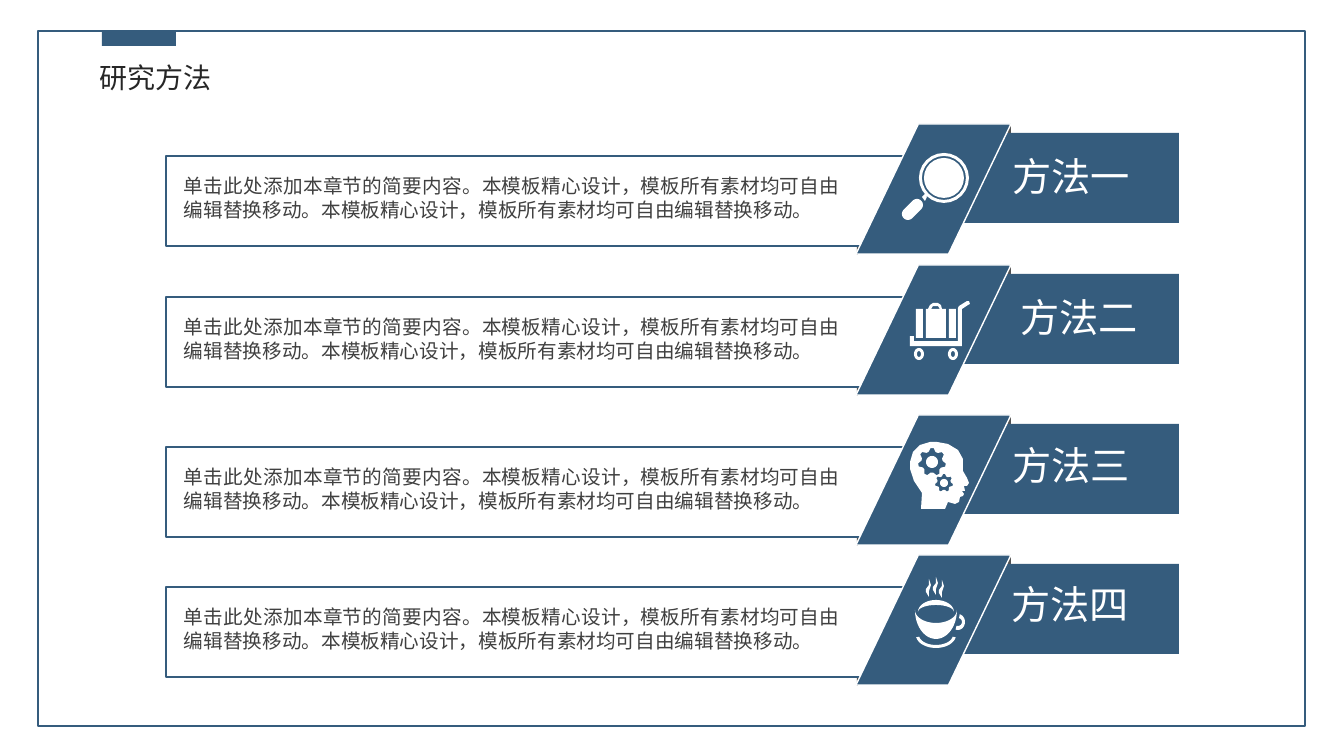
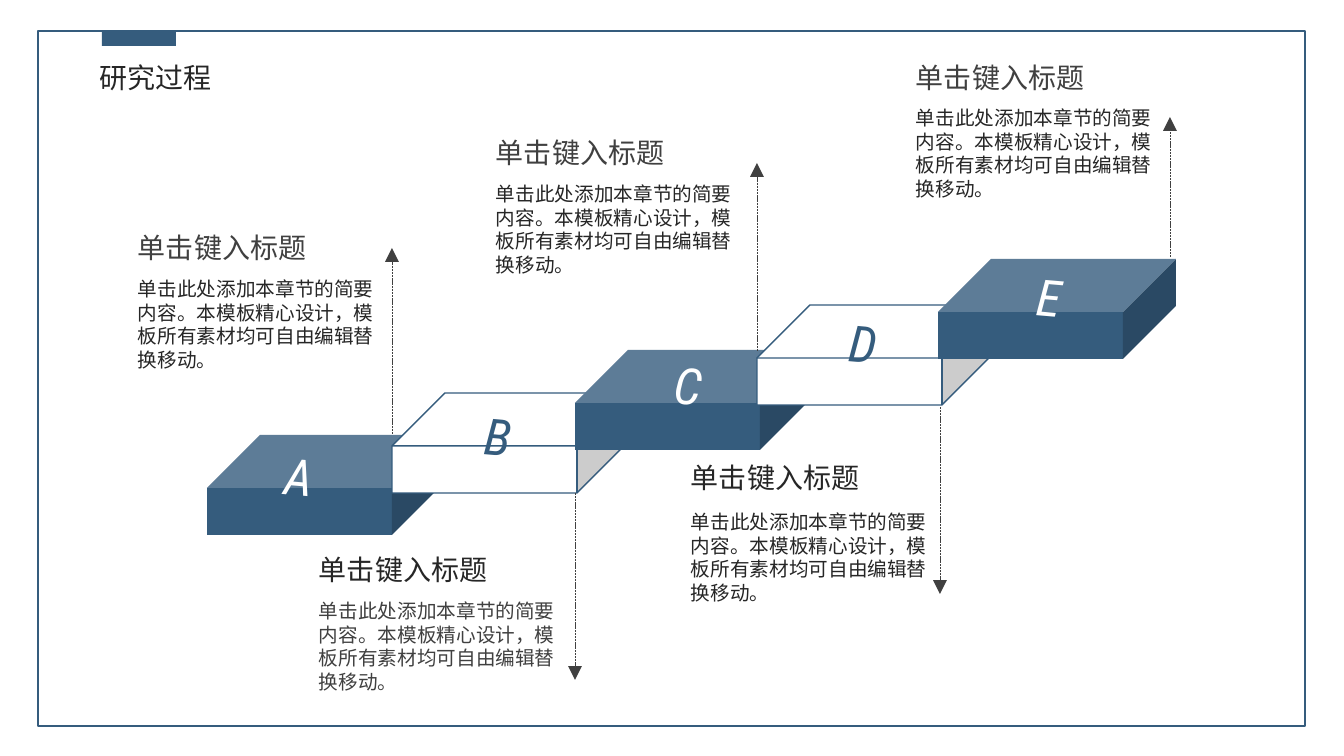
"""Build the research methods and research process slides."""
from math import cos, radians, sin

from lxml.etree import SubElement
from pptx import Presentation
from pptx.dml.color import RGBColor
from pptx.enum.dml import MSO_LINE
from pptx.enum.shapes import MSO_CONNECTOR, MSO_SHAPE
from pptx.enum.text import MSO_ANCHOR, PP_ALIGN
from pptx.oxml.ns import qn
from pptx.util import Pt

PX = 914400 / 100.8
BLUE, WHITE, SHADE = "355C7D", "FFFFFF", "525252"
DARK, GREY = "262626", "404040"
CJK_FONT, LATIN_FONT = "Noto Sans CJK SC", "Roboto Condensed"

METHOD_TEXT = "单击此处添加本章节的简要内容。本模板精心设计，模板所有素材均可自由编辑替换移动。本模板精心设计，模板所有素材均可自由编辑替换移动。"
STEP_TITLE = "单击键入标题"
STEP_TEXT = "单击此处添加本章节的简要内容。本模板精心设计，模板所有素材均可自由编辑替换移动。"


def arc(center_x, center_y, radius_x, radius_y, start=0, stop=360, count=24):
    angles = [radians(start + (stop - start) * index / count) for index in range(count + 1)]
    return [(center_x + radius_x * cos(a), center_y + radius_y * sin(a)) for a in angles]


def circle(center_x, center_y, radius):
    return arc(center_x, center_y, radius, radius)


def box(left, top, right, bottom):
    return [(left, top), (right, top), (right, bottom), (left, bottom)]


def gear(center_x, center_y, radius, teeth=7):
    points = []
    for index in range(teeth * 4):
        reach = radius if index % 4 < 2 else radius * 0.76
        angle = radians(360 * index / (teeth * 4) - 96)
        points.append((center_x + reach * cos(angle), center_y + reach * sin(angle)))
    return points


def wisp(left, top):
    curve = [(0, 0), (2, 6), (0, 12), (0, 18), (-3, 13), (-3, 10), (0, 6)]
    return [(left + x, top + y) for x, y in curve]


MAGNIFIER = [
    circle(44, 54, 25), circle(44, 54, 22), circle(44, 54, 20),
    [(27, 73), (25, 77), (22, 73), (25, 70)],
    arc(8, 90, 6, 6, 45, 225) + arc(17, 81, 6, 6, 225, 405),
]
LUGGAGE_CART = [
    box(16, 44, 23, 73), box(26, 44, 46, 73), box(49, 44, 56, 73),
    [(28, 44), (30, 40), (33, 38), (38, 38), (41, 40), (42, 44),
     (40, 44), (38, 41), (33, 41), (31, 44)],
    arc(19, 89, 5, 6), arc(19, 89, 2, 3), arc(53, 89, 5, 6), arc(53, 89, 2, 3),
    [(68, 40), (62, 44), (62, 81), (10, 81), (10, 71), (14, 71), (14, 76),
     (58, 76), (58, 43), (59, 41), (67, 36), (69, 36), (70, 39)],
]
THINKING_HEAD = [
    [(37, 27), (48, 29), (58, 35), (63, 44), (63, 56), (67, 63), (69, 68),
     (67, 71), (64, 71), (65, 76), (62, 76), (64, 79), (63, 81), (60, 82),
     (59, 87), (55, 89), (48, 87), (45, 94), (21, 94), (22, 78), (14, 66),
     (10, 54), (10, 47), (13, 37), (20, 30), (30, 27)],
    gear(32, 47, 14), circle(32, 47, 6), gear(44, 68, 9), circle(44, 68, 4),
]
COFFEE_CUP = [
    arc(36, 55, 21, 29, 0, 180) + arc(36, 55, 21, 13, 180, 0),
    arc(36, 57, 18, 12, 180, 360) + arc(36, 57, 18, 7, 360, 180),
    arc(58, 67, 7, 8, -75, 110) + arc(58, 67, 4, 4, 110, -75),
    arc(36, 80, 20, 13, 10, 170) + arc(36, 80, 17, 10, 170, 10),
    wisp(36, 22), wisp(42, 25), wisp(29, 24),
]

# label, row top, label centre x, label centre y within the row, icon
METHODS = [
    ("方法一", 124, 1071, 52, MAGNIFIER),
    ("方法二", 265, 1079, 52, LUGGAGE_CART),
    ("方法三", 415, 1071, 50, THINKING_HEAD),
    ("方法四", 555, 1070, 49, COFFEE_CUP),
]

# letter, cube corner, letter centre, text left, title and body line centres,
# title and body colours, arrow x, start y and end y
STEPS = [
    ("A", (207, 435), (299, 476), 138, (251, 292), (GREY, DARK), (392, 434, 248)),
    ("B", (392, 393), (498, 436), 319, (573, 614), (DARK, GREY), (575, 493, 680)),
    ("C", (575, 350), (688, 385), 496, (156, 197), (GREY, DARK), (757, 351, 163)),
    ("D", (757, 305), (863, 343), 691, (481, 525), (DARK, DARK), (940, 407, 594)),
    ("E", (938, 259), (1049, 297), 916, (81, 121), (GREY, DARK), (1170, 257, 117)),
]


def color(value):
    return RGBColor.from_string(value)


def emu(*lengths):
    return [round(length * PX) for length in lengths]


def paint(shape, fill=None, line=None):
    shape.shadow.inherit = False
    if fill:
        shape.fill.solid()
        shape.fill.fore_color.rgb = color(fill)
    else:
        shape.fill.background()
    if line:
        shape.line.color.rgb = color(line)
        shape.line.width = Pt(1)
    else:
        shape.line.fill.background()


def add_preset(slide, kind, place, fill=None, line=None, adjustment=None, rotation=0):
    shape = slide.shapes.add_shape(kind, *emu(*place))
    paint(shape, fill, line)
    if adjustment is not None:
        shape.adjustments[0] = adjustment
    shape.rotation = rotation


def write(shape, text, size, text_color, font=CJK_FONT, align=PP_ALIGN.LEFT,
          anchor=MSO_ANCHOR.TOP, italic=None):
    frame = shape.text_frame
    frame.word_wrap = True
    frame.vertical_anchor = anchor
    frame.margin_left = frame.margin_right = frame.margin_top = frame.margin_bottom = 0
    paragraph = frame.paragraphs[0]
    paragraph.alignment = align
    paragraph.add_run().text = text
    paragraph.font.name = font
    paragraph.font.size = Pt(size)
    paragraph.font.italic = italic
    paragraph.font.color.rgb = color(text_color)
    properties = paragraph.runs[0].font
    properties.name = font
    SubElement(properties._element, qn("a:ea")).set("typeface", CJK_FONT)


def add_text(slide, place, *content, **style):
    text_box = slide.shapes.add_textbox(*emu(*place))
    write(text_box, *content, **style)
    return text_box


def add_icon(slide, contours, left, top):
    placed = [[tuple(emu(left + x, top + y)) for x, y in contour] for contour in contours]
    builder = slide.shapes.build_freeform(*placed[0][0])
    for index, contour in enumerate(placed):
        if index:
            builder.move_to(*contour[0])
        builder.add_line_segments(contour[1:], close=True)
    paint(builder.convert_to_shape(), WHITE)


def add_arrow(slide, x, start, end):
    arrow = slide.shapes.add_connector(MSO_CONNECTOR.STRAIGHT, *emu(x, start, x, end))
    arrow.line.color.rgb = color(GREY)
    arrow.line.width = Pt(0.5)
    arrow.line.dash_style = MSO_LINE.SQUARE_DOT
    head = SubElement(arrow.line._get_or_add_ln(), qn("a:tailEnd"))
    for name, value in (("type", "triangle"), ("w", "lg"), ("len", "lg")):
        head.set(name, value)
    SubElement(arrow._element.spPr, qn("a:effectLst"))


def add_page(presentation, title):
    slide = presentation.slides.add_slide(presentation.slide_layouts[5])
    add_preset(slide, MSO_SHAPE.RECTANGLE, (38, 31, 1267, 695), line=BLUE)
    add_preset(slide, MSO_SHAPE.RECTANGLE, (102, 30, 74, 16), BLUE)
    heading = slide.shapes.title
    heading.left, heading.top, heading.width, heading.height = emu(99, 55, 185, 44)
    write(heading, title, 20, DARK, anchor=MSO_ANCHOR.MIDDLE)
    return slide


def build_methods(presentation):
    slide = add_page(presentation, "研究方法")
    for label, top, label_x, label_y, icon in METHODS:
        add_preset(slide, MSO_SHAPE.RIGHT_TRIANGLE, (857, top + 119, 12, 12), SHADE, rotation=90)
        add_preset(slide, MSO_SHAPE.RIGHT_TRIANGLE, (999, top, 12, 12), SHADE, rotation=270)
        add_preset(slide, MSO_SHAPE.RECTANGLE, (166, top + 32, 744, 90), WHITE, BLUE)
        add_preset(slide, MSO_SHAPE.RECTANGLE, (957, top + 9, 222, 90), BLUE)
        add_preset(slide, MSO_SHAPE.PARALLELOGRAM, (856, top, 155, 130), BLUE, WHITE, 0.48)
        add_icon(slide, icon, 900, top)
        add_text(slide, (184, top + 50, 656, 57), METHOD_TEXT, 14, GREY, align=PP_ALIGN.JUSTIFY)
        add_text(slide, (label_x - 90, top + label_y - 28, 180, 56), label, 28, WHITE,
                 font=LATIN_FONT, align=PP_ALIGN.CENTER, anchor=MSO_ANCHOR.MIDDLE)


def build_process(presentation):
    slide = add_page(presentation, "研究过程")
    for index, (_, corner, *_) in enumerate(STEPS):
        fill, line = (WHITE, BLUE) if index % 2 else (BLUE, None)
        add_preset(slide, MSO_SHAPE.CUBE, (*corner, 238, 100), fill, line, 0.53)
    for index, (letter, _, center, left, lines, colors, arrow) in enumerate(STEPS):
        add_arrow(slide, *arrow)
        letter_box = add_text(slide, (center[0] - 30, center[1] - 30, 60, 60), letter, 36,
                              BLUE if index % 2 else WHITE, font=LATIN_FONT, italic=True,
                              align=PP_ALIGN.CENTER, anchor=MSO_ANCHOR.MIDDLE)
        letter_box.rotation = 5
        add_text(slide, (left, lines[0] - 21, 240, 41), STEP_TITLE, 20, colors[0])
        add_text(slide, (left, lines[1] - 15, 240, 114), STEP_TEXT, 14, colors[1])


def main():
    presentation = Presentation()
    presentation.slide_width, presentation.slide_height = emu(1344, 756)
    build_methods(presentation)
    build_process(presentation)
    presentation.save("out.pptx")


if __name__ == "__main__":
    main()
